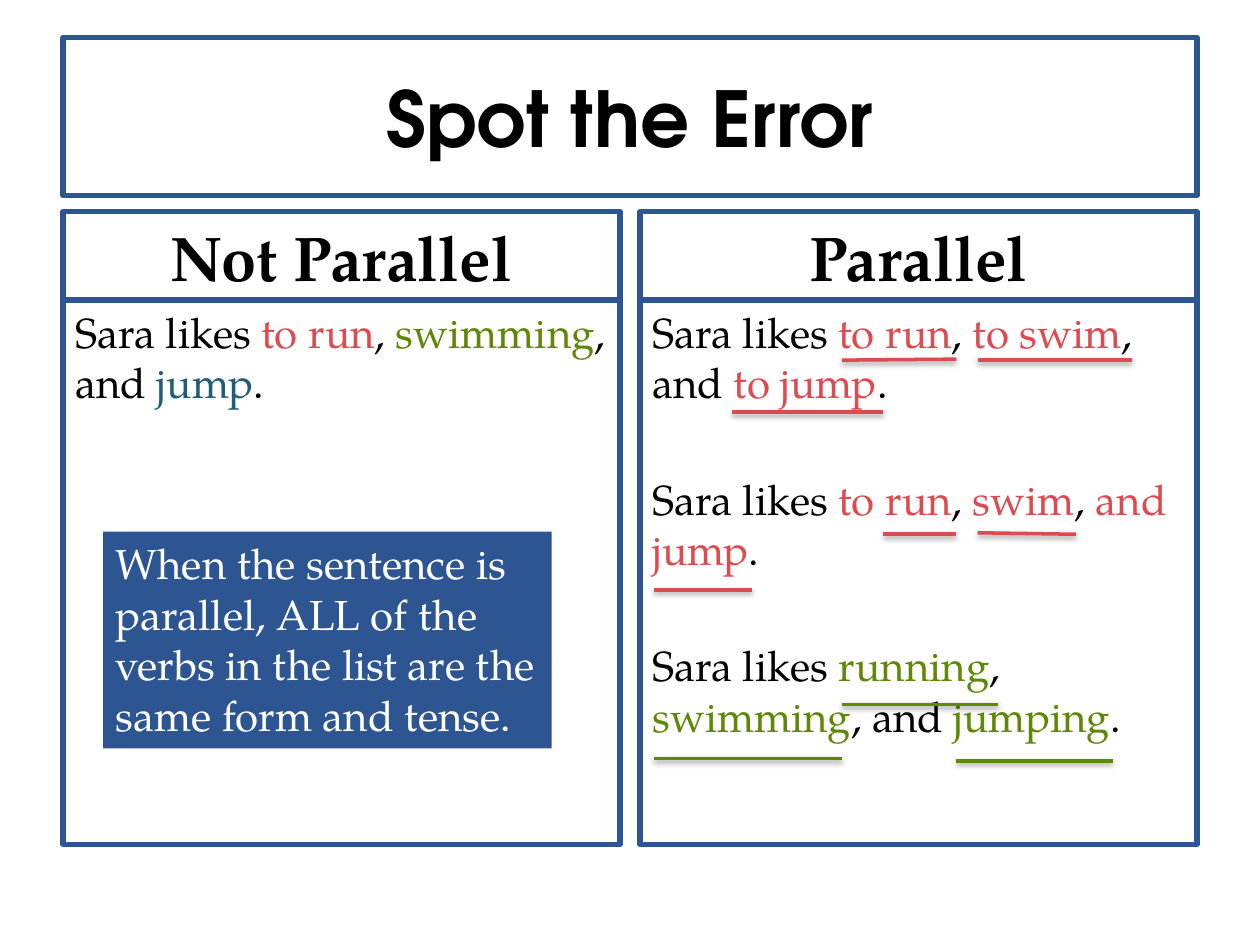
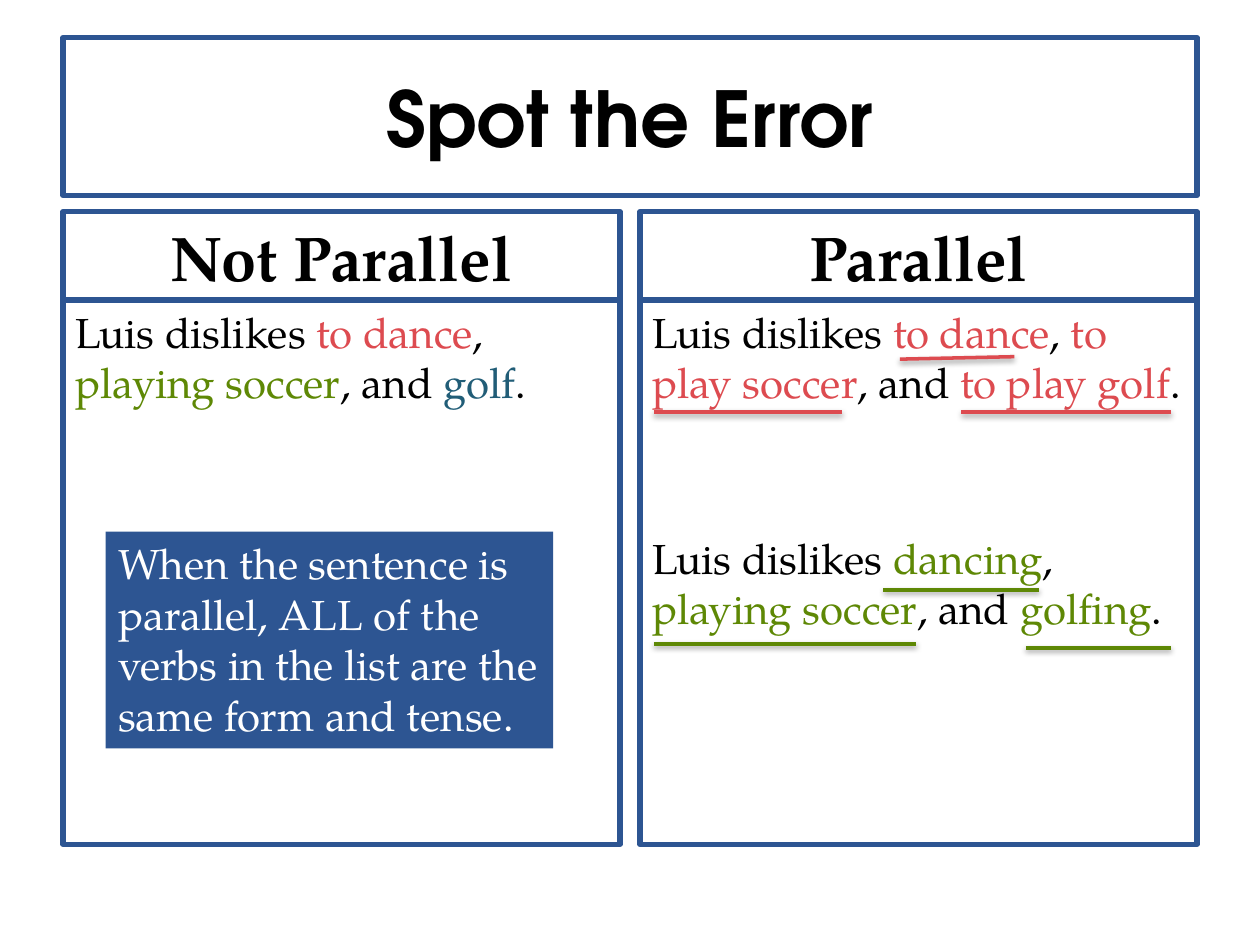
from pptx import Presentation
from pptx.dml.color import RGBColor
from pptx.enum.shapes import MSO_CONNECTOR, MSO_SHAPE
from pptx.enum.text import MSO_ANCHOR, MSO_AUTO_SIZE, PP_ALIGN
from pptx.oxml import parse_xml
from pptx.oxml.ns import nsdecls
from pptx.util import Cm, Pt

BLUE, RED, GREEN, TEAL = "2D5592", "DD4B50", "5E8805", "215D77"
BLACK, WHITE = "000000", "FFFFFF"
TITLE_FONT, BODY_FONT = "TeX Gyre Adventor", "TeX Gyre Pagella"

LEFT, COLUMN_W, FULL_W = 1.27, 11.23, 22.86
RIGHT = LEFT + FULL_W - COLUMN_W
HEAD_TOP, HEAD_H, BODY_H = 4.27, 1.78, 10.97

RULE = "When the sentence is parallel, ALL of the verbs in the list are the same form and tense."
SHADOW = (
    f'<a:effectLst {nsdecls("a")}>'
    '<a:outerShdw blurRad="40000" dist="20000" dir="5400000" rotWithShape="0">'
    '<a:srgbClr val="000000"><a:alpha val="38000"/></a:srgbClr>'
    '</a:outerShdw></a:effectLst>'
)


def rgb(color):
    return RGBColor.from_string(color)


def sentence(lead, verbs, colors, joins=(", ", ", and ", ".")):
    runs = [(lead, BLACK)]
    for verb, color, join in zip(verbs, colors, joins):
        runs += [(verb, color), (join, BLACK)]
    return runs


class Deck:
    def __init__(self):
        self.prs = Presentation()
        self.prs.slide_width, self.prs.slide_height = Cm(25.4), Cm(19.05)
        self.s = None

    def slide(self):
        self.s = self.prs.slides.add_slide(self.prs.slide_layouts[6])

    def box(self, x, y, w, h, fill=WHITE, line=BLUE, anchor=MSO_ANCHOR.TOP):
        sp = self.s.shapes.add_shape(MSO_SHAPE.RECTANGLE, Cm(x), Cm(y), Cm(w), Cm(h))
        sp.shadow.inherit = False
        sp.fill.solid()
        sp.fill.fore_color.rgb = rgb(fill)
        if line:
            sp.line.color.rgb = rgb(line)
            sp.line.width = Pt(3)
        else:
            sp.line.fill.background()
        tf = sp.text_frame
        tf.word_wrap = True
        tf.vertical_anchor = anchor
        return tf

    def add_runs(self, p, runs, size, font=BODY_FONT, bold=False, align=PP_ALIGN.LEFT):
        p.alignment = align
        for text, color in runs:
            r = p.add_run()
            r.text = text
            r.font.name, r.font.size, r.font.bold = font, Pt(size), bold
            r.font.color.rgb = rgb(color)

    def title(self, text):
        tf = self.box(LEFT, 0.76, FULL_W, 3.18, anchor=MSO_ANCHOR.MIDDLE)
        self.add_runs(tf.paragraphs[0], [(text, BLACK)], 44, TITLE_FONT, True, PP_ALIGN.CENTER)

    def column(self, x, heading, sentences, gap=0):
        tf = self.box(x, HEAD_TOP, COLUMN_W, HEAD_H, anchor=MSO_ANCHOR.BOTTOM)
        self.add_runs(tf.paragraphs[0], [(heading, BLACK)], 36, bold=True, align=PP_ALIGN.CENTER)
        tf = self.box(x, HEAD_TOP + HEAD_H, COLUMN_W, BODY_H)
        tf.margin_right = Cm(0.2)
        for i, runs in enumerate(sentences):
            p = tf.add_paragraph() if i else tf.paragraphs[0]
            if i:
                p.space_before = Pt(gap)
            self.add_runs(p, runs, 24)

    def callout(self, x, w, text):
        tf = self.box(x, 10.72, w, 4.37, fill=BLUE, line=None)
        tf.auto_size = MSO_AUTO_SIZE.SHAPE_TO_FIT_TEXT
        self.add_runs(tf.paragraphs[0], [(text, WHITE)], 24)

    def underlines(self, color, lines):
        for x1, y1, x2, y2 in lines:
            c = self.s.shapes.add_connector(
                MSO_CONNECTOR.STRAIGHT, Cm(x1), Cm(y1), Cm(x2), Cm(y2))
            c.line.color.rgb = rgb(color)
            c.line.width = Pt(2)
            c._element.spPr.append(parse_xml(SHADOW))

    def error_slide(self, wrong, right, gap, callout, red_lines, green_lines):
        self.slide()
        self.title("Spot the Error")
        self.column(LEFT, "Not Parallel", [wrong])
        self.column(RIGHT, "Parallel", right, gap)
        self.callout(*callout, RULE)
        self.underlines(RED, red_lines)
        self.underlines(GREEN, green_lines)


def main():
    deck = Deck()
    mixed, reds, greens = (RED, GREEN, TEAL), [RED] * 3, [GREEN] * 3

    sara = "Sara likes "
    deck.error_slide(
        sentence(sara, ("to run", "swimming", "jump"), mixed),
        [
            sentence(sara, ("to run", "to swim", "to jump"), reds),
            sentence(sara, ("to run", "swim", "and jump"), reds, (", ", ", ", ".")),
            sentence(sara, ("running", "swimming", "jumping"), greens),
        ],
        37.7,
        (2.08, 9.04),
        [
            (16.97, 7.26, 19.28, 7.24),
            (19.71, 7.26, 22.83, 7.26),
            (14.76, 8.31, 17.81, 8.31),
            (17.81, 10.77, 19.28, 10.77),
            (19.71, 10.74, 21.69, 10.77),
            (13.18, 11.89, 15.16, 11.89),
        ],
        [
            (16.97, 14.2, 20.12, 14.2),
            (13.18, 15.29, 16.97, 15.29),
            (19.28, 15.34, 22.43, 15.34),
        ],
    )

    luis = "Luis dislikes "
    deck.error_slide(
        sentence(luis, ("to dance", "playing soccer", "golf"), mixed),
        [
            sentence(luis, ("to dance", "to play soccer", "to play golf"), reds),
            sentence(luis, ("dancing", "playing soccer", "golfing"), greens),
        ],
        71.4,
        (2.13, 9.02),
        [
            (18.14, 7.24, 20.45, 7.19),
            (13.18, 8.31, 16.97, 8.31),
            (19.38, 8.31, 23.6, 8.31),
        ],
        [
            (17.81, 11.89, 20.95, 11.89),
            (20.68, 13.06, 23.6, 13.06),
            (13.18, 12.98, 18.47, 12.98),
        ],
    )
    deck.prs.save("out.pptx")


if __name__ == "__main__":
    main()
